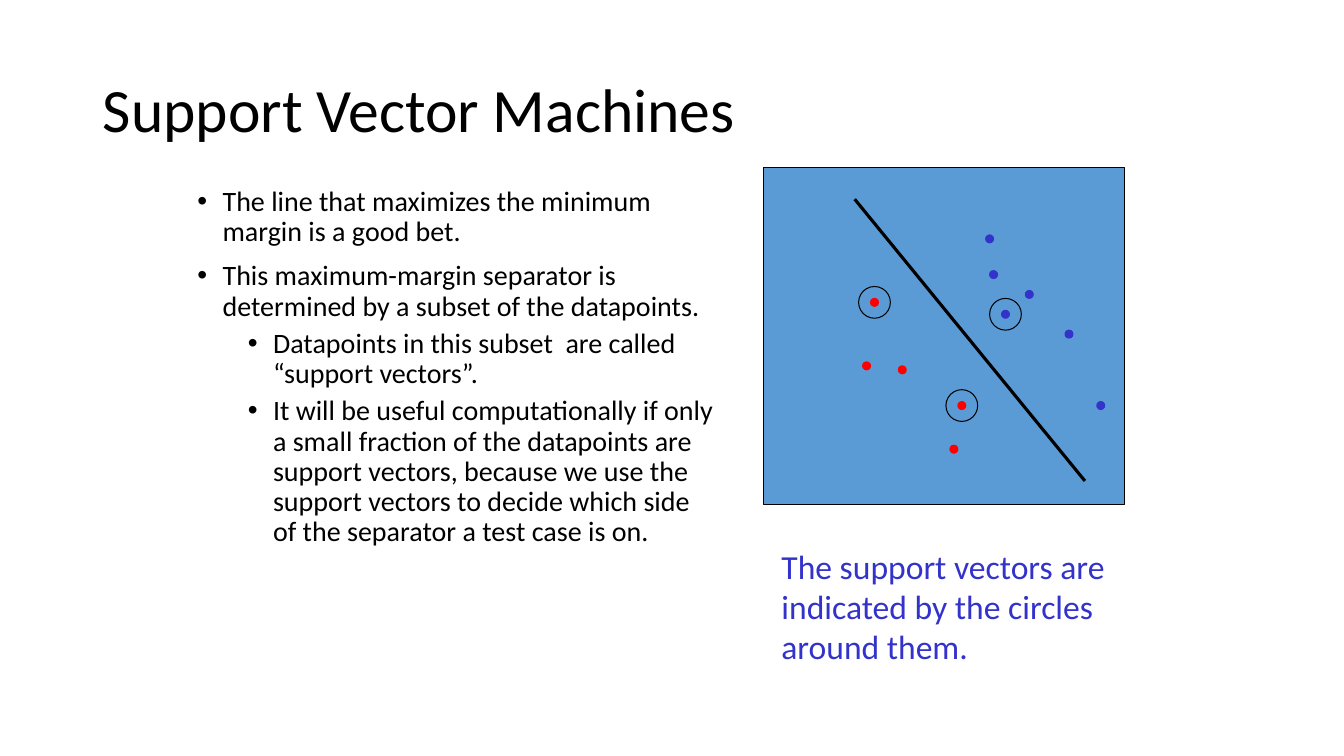
import pptx
import pptx.util
import pptx.dml.color
import pptx.enum.shapes
import pptx.enum.text
import pptx.oxml
import pptx.oxml.ns

COLORS = {"ink": "000000", "plot": "5B9BD5", "red": "FF0000", "blue": "3333CC"}
SHAPE = pptx.enum.shapes.MSO_SHAPE

prs = pptx.Presentation()
prs.slide_width = pptx.util.Inches(13.33)
prs.slide_height = pptx.util.Inches(7.5)
W, H = prs.slide_width, prs.slide_height
s = prs.slides.add_slide(prs.slide_layouts[5])

# Plot grid: one cell is a millimetre, counted from the plot's corner
CELL = pptx.util.Mm(1)
LEFT, TOP = int(0.568 * W), int(0.2215 * H)
COLS, ROWS = 91, 85


def write(sp, text, level=0, size=20, color="ink", before=0, spacing=None, bullet=False):
    """Add one paragraph of text to a shape, filling its empty first one."""
    tf = sp.text_frame
    tf.word_wrap = True
    p = tf.paragraphs[0] if not tf.text else tf.add_paragraph()
    p.level = level
    p.alignment = pptx.enum.text.PP_ALIGN.LEFT
    p.space_before = pptx.util.Pt(before)
    p.line_spacing = spacing
    if bullet:
        pPr = p._p.get_or_add_pPr()
        pPr.set("marL", str(pptx.util.Inches(0.25 + 0.5 * level)))
        pPr.set("indent", str(pptx.util.Inches(-0.25)))
        font = pptx.oxml.ns.qn("a:buFont")
        pPr.append(pPr.makeelement(font, {"typeface": "Arial"}))
        pPr.append(pPr.makeelement(pptx.oxml.ns.qn("a:buChar"), {"char": "•"}))
    r = p.add_run()
    r.text = text
    r.font.name = "Calibri"
    r.font.size = pptx.util.Pt(size)
    r.font.color.rgb = pptx.dml.color.RGBColor.from_string(COLORS[color])


def draw(kind, col, row, cols, rows, fill=None, line="ink"):
    """Draw a shape centred on a plot cell, its size given in cells."""
    sp = s.shapes.add_shape(kind, int(LEFT + (col - cols / 2) * CELL),
                            int(TOP + (row - rows / 2) * CELL), cols * CELL, rows * CELL)
    sp.shadow.inherit = False
    if fill:
        sp.fill.solid()
        sp.fill.fore_color.rgb = pptx.dml.color.RGBColor.from_string(COLORS[fill])
    else:
        sp.fill.background()
    sp.line.color.rgb = pptx.dml.color.RGBColor.from_string(COLORS[line])
    sp.line.width = pptx.util.Pt(0.75)


# Title
title = s.shapes.title
title.left, title.top = int(0.069 * W), int(0.053 * H)
title.width, title.height = int(0.863 * W), int(0.193 * H)
title.text_frame.vertical_anchor = pptx.enum.text.MSO_ANCHOR.MIDDLE
write(title, "Support Vector Machines", size=44, spacing=0.9)

# Bulleted points
body = s.shapes.add_textbox(int(0.1395 * W), int(0.241 * H), int(0.399 * W), int(0.784 * H))
points = [
    (0, "The line that maximizes the minimum margin is a good bet."),
    (0, "This maximum-margin separator is determined by a subset of the datapoints."),
    (1, "Datapoints in this subset  are called “support vectors”."),
    (1, "It will be useful computationally if only a small fraction of the datapoints "
        "are support vectors, because we use the support vectors to decide which side "
        "of the separator a test case is on."),
]
for level, text in points:
    write(body, text, level=level, before=5 if level else 10, spacing=0.9, bullet=True)

# Plot area
draw(SHAPE.RECTANGLE, COLS / 2, ROWS / 2, COLS, ROWS, fill="plot")

# Datapoints of the two classes, as (column, row)
datapoints = {
    "red": [(28, 34), (26, 50), (35, 51), (50, 60), (48, 71)],
    "blue": [(57, 18), (58, 27), (67, 32), (61, 37), (77, 42), (85, 60)],
}
for color, cells in datapoints.items():
    for col, row in cells:
        draw(SHAPE.OVAL, col, row, 2, 2, fill=color, line=color)

# Separator
separator = s.shapes.add_connector(
    pptx.enum.shapes.MSO_CONNECTOR.STRAIGHT,
    LEFT + 23 * CELL, TOP + 8 * CELL, LEFT + 81 * CELL, TOP + 79 * CELL)
separator.line.color.rgb = pptx.dml.color.RGBColor.from_string(COLORS["ink"])
separator.line.width = pptx.util.Pt(2.25)
spPr = separator._element.spPr
spPr.append(spPr.makeelement(pptx.oxml.ns.qn("a:effectLst"), {}))

# Circles around the support vectors
for col, row in [(28, 34), (61, 37), (50, 60)]:
    draw(SHAPE.OVAL, col, row, 8, 8)

# Caption
caption = s.shapes.add_textbox(int(0.574 * W), int(0.715 * H), int(0.263 * W), int(0.175 * H))
write(caption, "The support vectors are indicated by the circles around them.",
      size=24, color="blue", before=12)

prs.save("out.pptx")
